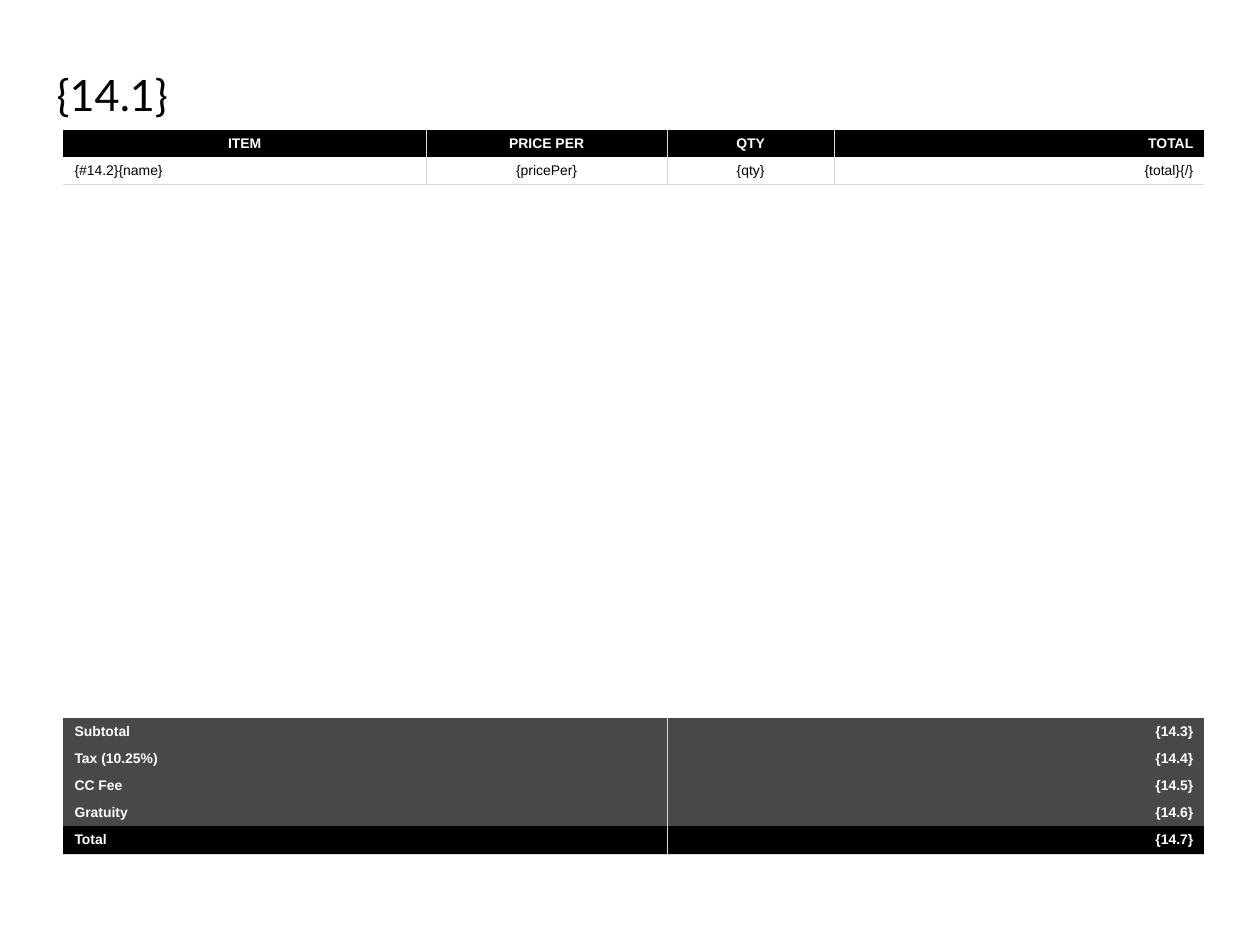
from dataclasses import dataclass

from pptx import Presentation
from pptx.dml.color import RGBColor
from pptx.enum.text import MSO_ANCHOR as Anchor, PP_ALIGN as Align
from pptx.oxml.ns import qn
from pptx.util import Inches, Pt
from lxml.etree import SubElement

TITLE = "{14.1}"
ITEM_HEADER = ["ITEM", "PRICE PER", "QTY", "TOTAL"]
ITEM_ENTRY = ["{#14.2}{name}", "{pricePer}", "{qty}", "{total}{/}"]
CHARGES = [
    ("Subtotal", "{14.3}"),
    ("Tax (10.25%)", "{14.4}"),
    ("CC Fee", "{14.5}"),
    ("Gratuity", "{14.6}"),
]
GRAND_TOTAL = ("Total", "{14.7}")

ITEM_WIDTHS = [3.26, 2.17, 1.5, 3.33]
CHARGE_WIDTHS = [sum(ITEM_WIDTHS[:2]), sum(ITEM_WIDTHS[2:])]
HEADER_ALIGN = [Align.CENTER, Align.CENTER, Align.CENTER, Align.RIGHT]
ENTRY_ALIGN = [Align.LEFT, Align.CENTER, Align.CENTER, Align.RIGHT]
CHARGE_ALIGN = [Align.LEFT, Align.RIGHT]

LEFT, ITEMS_TOP, CHARGES_TOP = 0.57, 1.17, 6.46
ROW_HEIGHT = 0.24
TOTAL_TOP = 7.43
ROW_PITCH = (TOTAL_TOP - CHARGES_TOP) / len(CHARGES)


@dataclass(frozen=True)
class Theme:
    black: str = "000000"
    white: str = "FFFFFF"
    charcoal: str = "48484A"
    rule: str = "D9D9D9"
    rule_width: float = 0.5
    title_font: str = "Lato"
    body_font: str = "Arial"
    title_size: int = 28
    body_size: int = 9


THEME = Theme()


def style_runs(paragraph, font_name, size, color, bold=False):
    for run in paragraph.runs:
        run.font.name = font_name
        run.font.size = Pt(size)
        run.font.bold = bold
        run.font.color.rgb = RGBColor.from_string(color)


def rule_cell(cell, visible_sides):
    properties = cell._tc.get_or_add_tcPr()
    for side in "LRTB":
        border = SubElement(properties, qn(f"a:ln{side}"), w=str(Pt(THEME.rule_width)))
        if side in visible_sides:
            paint = SubElement(border, qn("a:solidFill"))
            SubElement(paint, qn("a:srgbClr"), val=THEME.rule)
        else:
            SubElement(border, qn("a:noFill"))


def add_row(slide, top, labels, widths, alignments, fill, color, bold):
    table = slide.shapes.add_table(
        1, len(labels), Inches(LEFT), Inches(top), Inches(sum(widths)), Inches(ROW_HEIGHT)
    ).table
    table.first_row = table.horz_banding = False
    last = len(labels) - 1
    for index, (label, width, alignment) in enumerate(zip(labels, widths, alignments)):
        table.columns[index].width = Inches(width)
        cell = table.cell(0, index)
        rule_cell(cell, "B" + ("L" if index > 0 else "") + ("R" if index < last else ""))
        cell.fill.solid()
        cell.fill.fore_color.rgb = RGBColor.from_string(fill)
        cell.vertical_anchor = Anchor.MIDDLE
        cell.margin_left = cell.margin_right = Inches(0.1)
        cell.margin_top = cell.margin_bottom = Inches(0.05)
        cell.text_frame.text = label
        paragraph = cell.text_frame.paragraphs[0]
        paragraph.alignment = alignment
        style_runs(paragraph, THEME.body_font, THEME.body_size, color, bold)


def add_title(slide):
    frame = slide.shapes.add_textbox(
        Inches(0.51), Inches(0.61), Inches(10.33), Inches(0.44)
    ).text_frame
    frame.word_wrap = True
    frame.margin_left = frame.margin_right = frame.margin_top = frame.margin_bottom = 0
    frame.text = TITLE
    style_runs(frame.paragraphs[0], THEME.title_font, THEME.title_size, THEME.black)


def main():
    deck = Presentation()
    deck.slide_width, deck.slide_height = Inches(11.33), Inches(8.5)
    slide = deck.slides.add_slide(deck.slide_layouts[6])
    add_title(slide)
    add_row(slide, ITEMS_TOP, ITEM_HEADER, ITEM_WIDTHS, HEADER_ALIGN,
            THEME.black, THEME.white, True)
    add_row(slide, ITEMS_TOP + ROW_HEIGHT, ITEM_ENTRY, ITEM_WIDTHS, ENTRY_ALIGN,
            THEME.white, THEME.black, False)
    for index, charge in enumerate(CHARGES + [GRAND_TOTAL]):
        fill = THEME.black if charge == GRAND_TOTAL else THEME.charcoal
        add_row(slide, CHARGES_TOP + index * ROW_PITCH, charge, CHARGE_WIDTHS,
                CHARGE_ALIGN, fill, THEME.white, True)
    deck.save("out.pptx")


if __name__ == "__main__":
    main()
